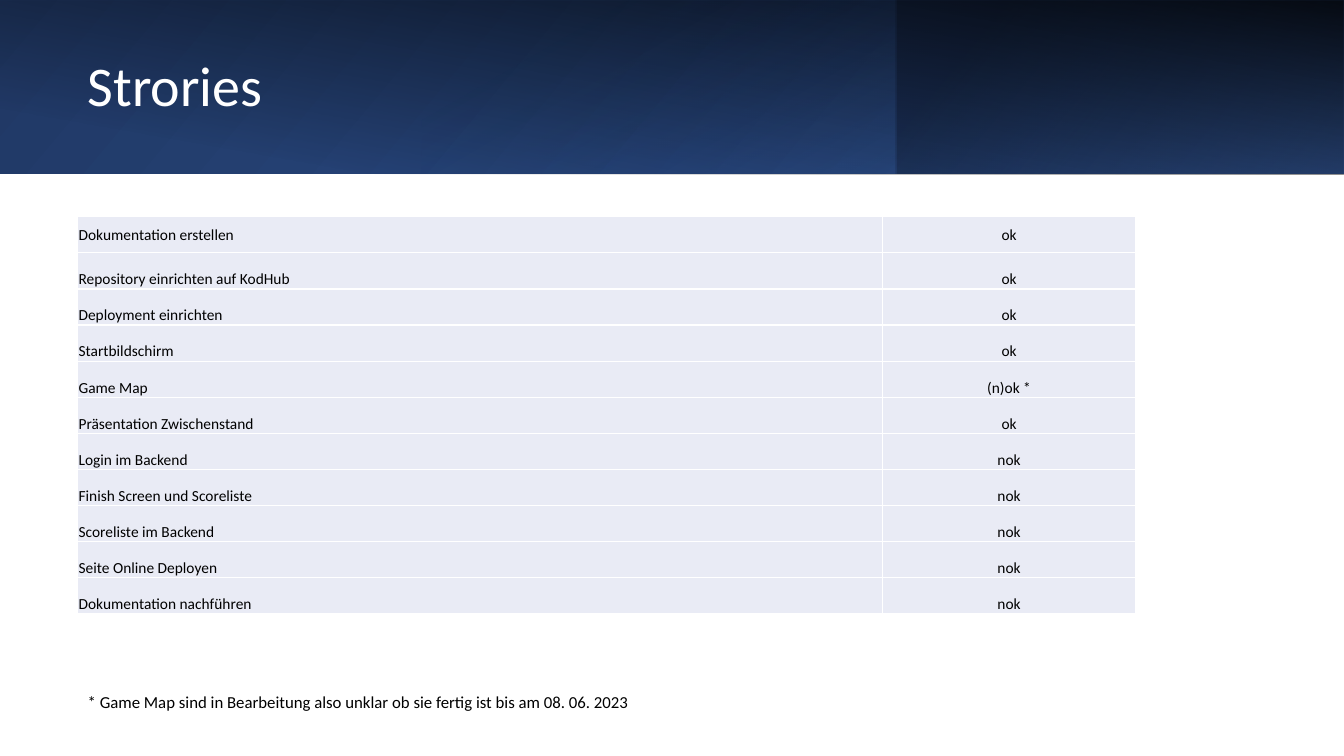
import pptx
import pptx.util
import pptx.dml.color
import pptx.enum.shapes
import pptx.enum.text
import pptx.oxml.ns
import lxml.etree

Cm = pptx.util.Cm
Pt = pptx.util.Pt
qn = pptx.oxml.ns.qn
MIDDLE = pptx.enum.text.MSO_ANCHOR.MIDDLE
BOTTOM = pptx.enum.text.MSO_ANCHOR.BOTTOM

COLORS = {
    "white": "FFFFFF",
    "black": "000000",
    "navy": "203864",
    "blue": "2F5597",
    "accent": "4472C4",
    "cell": "E9EBF5",
}


def rgb(name):
    return pptx.dml.color.RGBColor.from_string(COLORS[name])


def write(frame, text, size, color):
    frame.text = text
    font = frame.paragraphs[0].runs[0].font
    font.name = "Calibri"
    font.size = Pt(size)
    font.color.rgb = rgb(color)


presentation = pptx.Presentation()
presentation.slide_width = Cm(33.87)
presentation.slide_height = Cm(19.05)
slide = presentation.slides.add_slide(presentation.slide_layouts[6])

banner_layers = [
    ((0, 0, 33.87, 4.38), 0, True, 140, [(0, "navy", 100), (100, "blue", 100)]),
    ((22.58, 0, 11.29, 4.38), 180, True, 320, [(19, "navy", 68), (100, "accent", 79)]),
    ((14.74, -14.74, 4.38, 33.87), 90, False, 190, [(16, "black", 0), (99, "black", 87)]),
    ((10.62, 0, 11.96, 4.38), 0, False, 240, [(0, "accent", 17), (74, "navy", 0)]),
]
for box, rotation, flipped, angle, stops in banner_layers:
    layer = slide.shapes.add_shape(
        pptx.enum.shapes.MSO_SHAPE.RECTANGLE, *[Cm(length) for length in box])
    layer.shadow.inherit = False
    layer.line.fill.background()
    layer.rotation = rotation
    if flipped:
        layer._element.spPr.find(qn("a:xfrm")).set("flipH", "1")
    layer.fill.gradient()
    layer.fill.gradient_angle = 360 - angle
    for stop, (position, color, opacity) in zip(layer.fill.gradient_stops, stops):
        stop.position = position / 100
        stop.color.rgb = rgb(color)
    for tint, (position, color, opacity) in zip(layer._element.spPr.iter(qn("a:srgbClr")), stops):
        if opacity < 100:
            lxml.etree.SubElement(tint, qn("a:alpha")).set("val", str(opacity * 1000))

title = slide.shapes.add_textbox(Cm(1.96), Cm(0.99), Cm(19.71), Cm(2.49)).text_frame
title.word_wrap = True
title.vertical_anchor = MIDDLE
write(title, "Strories", 40, "white")
title.paragraphs[0].line_spacing = 0.9

stories = [
    ("Dokumentation erstellen", "ok"),
    ("Repository einrichten auf KodHub", "ok"),
    ("Deployment einrichten", "ok"),
    ("Startbildschirm", "ok"),
    ("Game Map", "(n)ok *"),
    ("Präsentation Zwischenstand", "ok"),
    ("Login im Backend", "nok"),
    ("Finish Screen und Scoreliste", "nok"),
    ("Scoreliste im Backend", "nok"),
    ("Seite Online Deployen", "nok"),
    ("Dokumentation nachführen", "nok"),
]
story_table = slide.shapes.add_table(
    len(stories), 2, Cm(1.96), Cm(5.46), Cm(26.67), Cm(10.01)).table
story_table.first_row = False
story_table.horz_banding = False
story_table.columns[0].width = Cm(20.27)
story_table.columns[1].width = Cm(6.4)

for row, story in enumerate(stories):
    story_table.rows[row].height = Cm(0.91)
    for column, text in enumerate(story):
        cell = story_table.cell(row, column)
        write(cell.text_frame, text, 11, "black")
        cell.vertical_anchor = BOTTOM if row else MIDDLE
        cell.margin_left = cell.margin_right = cell.margin_top = Cm(0.02)
        cell.margin_bottom = 0
        if column == 1:
            cell.text_frame.paragraphs[0].alignment = pptx.enum.text.PP_ALIGN.CENTER
        properties = cell._tc.get_or_add_tcPr()
        for side in ("lnL", "lnR", "lnT", "lnB"):
            border = lxml.etree.SubElement(properties, qn("a:" + side))
            border.set("w", str(Pt(1)))
            paint = lxml.etree.SubElement(border, qn("a:solidFill"))
            lxml.etree.SubElement(paint, qn("a:srgbClr")).set("val", COLORS["white"])
        cell.fill.solid()
        cell.fill.fore_color.rgb = rgb("cell")

footnote = slide.shapes.add_textbox(Cm(1.96), Cm(17.3), Cm(26.67), Cm(0.77)).text_frame
footnote.word_wrap = True
footnote.auto_size = pptx.enum.text.MSO_AUTO_SIZE.SHAPE_TO_FIT_TEXT
write(
    footnote,
    "* Game Map sind in Bearbeitung also unklar ob sie fertig ist bis am 08. 06. 2023",
    12,
    "black",
)

presentation.save("out.pptx")
